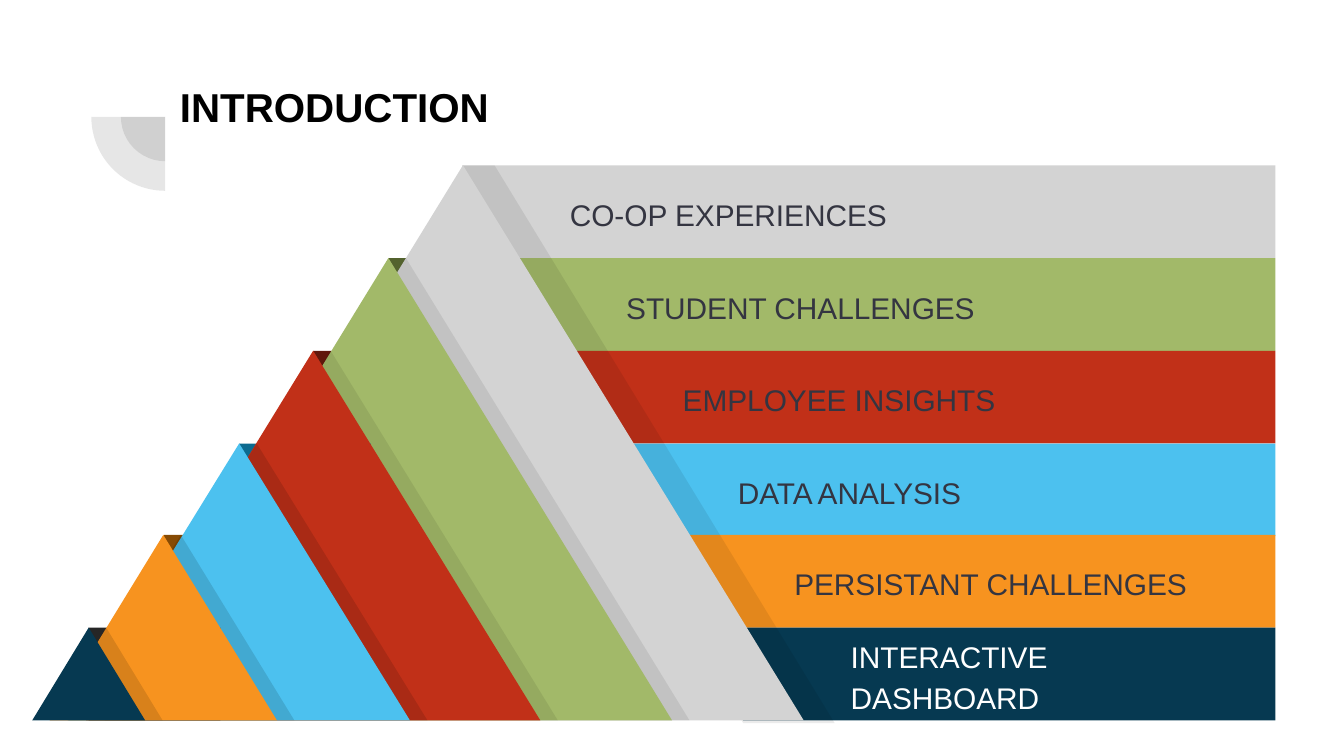
from pptx import Presentation
from pptx import util as u
from pptx.dml.color import RGBColor
from pptx.enum import shapes, text
from pptx.oxml.ns import qn
from lxml import etree

PX = 9144
BLACK = RGBColor(0x00, 0x00, 0x00)
WHITE = RGBColor(0xFF, 0xFF, 0xFF)
INK = RGBColor(0x34, 0x35, 0x41)
PIE_GREY = RGBColor(0x42, 0x42, 0x42)
GREY = RGBColor(0xD3, 0xD3, 0xD3)
GREEN = RGBColor(0xA2, 0xB9, 0x69)
RED = RGBColor(0xC1, 0x30, 0x18)
BLUE = RGBColor(0x4C, 0xC1, 0xEF)
ORANGE = RGBColor(0xF7, 0x93, 0x1F)
NAVY = RGBColor(0x06, 0x39, 0x51)
DARK_GREEN = RGBColor(0x53, 0x62, 0x2E)
DARK_RED = RGBColor(0x60, 0x17, 0x0B)
DARK_BLUE = RGBColor(0x0C, 0x6B, 0x90)
DARK_ORANGE = RGBColor(0x86, 0x4A, 0x04)
CHARCOAL = RGBColor(0x26, 0x26, 0x26)

LEVELS = [
    ("CO-OP EXPERIENCES", GREY, None, INK),
    ("STUDENT CHALLENGES", GREEN, DARK_GREEN, INK),
    ("EMPLOYEE INSIGHTS", RED, DARK_RED, INK),
    ("DATA ANALYSIS", BLUE, DARK_BLUE, INK),
    ("PERSISTANT CHALLENGES", ORANGE, DARK_ORANGE, INK),
    ("INTERACTIVE DASHBOARD", NAVY, CHARCOAL, WHITE),
]


def px(value):
    return u.Emu(round(value) * PX)


def paint(shape, color, opacity=100):
    shape.shadow.inherit = False
    shape.line.fill.background()
    shape.fill.solid()
    shape.fill.fore_color.rgb = color
    if opacity < 100:
        color_element = shape._element.spPr.find(qn("a:solidFill"))[0]
        etree.SubElement(color_element, qn("a:alpha"), val=str(opacity * 1000))


def add_preset(slide, kind, left, top, width, height, color, opacity=100):
    shape = slide.shapes.add_shape(kind, px(left), px(top), px(width), px(height))
    paint(shape, color, opacity)
    return shape


def add_heading(slide, left, top, width, height):
    center_x, center_y = left + 55, top + 36
    for radius in (33, 55):
        pie = add_preset(slide, shapes.MSO_SHAPE.PIE, center_x - radius,
                         center_y - radius, 2 * radius, 2 * radius, PIE_GREY, 13)
        pie.adjustments[0] = 54
        pie.adjustments[1] = 108
    box = slide.shapes.add_textbox(px(left + 56), px(top), px(width - 56), px(height))
    frame = box.text_frame
    frame.word_wrap = True
    frame.margin_left = frame.margin_right = px(10)
    frame.margin_top = frame.margin_bottom = px(10)
    paragraph = frame.paragraphs[0]
    paragraph.text = "INTRODUCTION"
    paragraph.font.size = u.Pt(21.6)
    paragraph.font.name = "Arial"
    paragraph.font.bold = True
    paragraph.font.color.rgb = BLACK


def add_bars(slide, left, top, width, height):
    row = height / len(LEVELS)
    for index, (label, color, _, ink) in enumerate(LEVELS):
        indent = 41.8 * index
        bar = add_preset(slide, shapes.MSO_SHAPE.RECTANGLE, left + indent,
                         top + row * index, width - indent, 69, color)
        frame = bar.text_frame
        frame.word_wrap = True
        frame.vertical_anchor = text.MSO_ANCHOR.MIDDLE
        frame.margin_left, frame.margin_right = px(80), px(50)
        frame.margin_top = frame.margin_bottom = px(5)
        paragraph = frame.paragraphs[0]
        paragraph.text = label
        paragraph.alignment = text.PP_ALIGN.LEFT
        paragraph.line_spacing = 1.15
        paragraph.space_after = u.Pt(12)
        paragraph.font.size = u.Pt(16)
        paragraph.font.name = "Arial"
        paragraph.font.color.rgb = ink


def add_bar_shadow(slide, left, top, width, height):
    builder = slide.shapes.build_freeform(left, top, scale=PX)
    builder.add_line_segments([
        (left + 24, top), (left + width, top + height),
        (left + 209, top + height), (left, top + 69),
    ])
    paint(builder.convert_to_shape(), BLACK, 8)


def add_pyramid(slide, left, top, width, height):
    count = len(LEVELS)
    row = height / count

    def level_box(index):
        share = (count - index) / count
        return (left + 13.4 * (count - 1 - index), top + row * index,
                width * share, height * share)

    for index, (_, color, _, _) in enumerate(LEVELS):
        x, y, level_width, level_height = level_box(index)
        if index:
            add_preset(slide, shapes.MSO_SHAPE.ISOSCELES_TRIANGLE, x + 13, y,
                       level_width, level_height, BLACK, 8 if index < 3 else 12)
        if index + 1 < count:
            next_x, next_y, next_width, _ = level_box(index + 1)
            add_preset(slide, shapes.MSO_SHAPE.RECTANGLE, next_x + next_width / 2,
                       next_y, 98, 69, LEVELS[index + 1][2])
        add_preset(slide, shapes.MSO_SHAPE.ISOSCELES_TRIANGLE, x, y,
                   level_width, level_height, color)


def main():
    presentation = Presentation()
    presentation.slide_width = px(1000)
    presentation.slide_height = u.Emu(px(1000) * 9 // 16)
    slide = presentation.slides.add_slide(presentation.slide_layouts[6])
    add_heading(slide, 68, 51, 497, 85)
    add_bars(slide, 344, 123, 605, 413)
    add_bar_shadow(slide, 344, 123, 277, 415)
    add_pyramid(slide, 24, 123, 507, 413)
    presentation.save("out.pptx")


if __name__ == "__main__":
    main()
